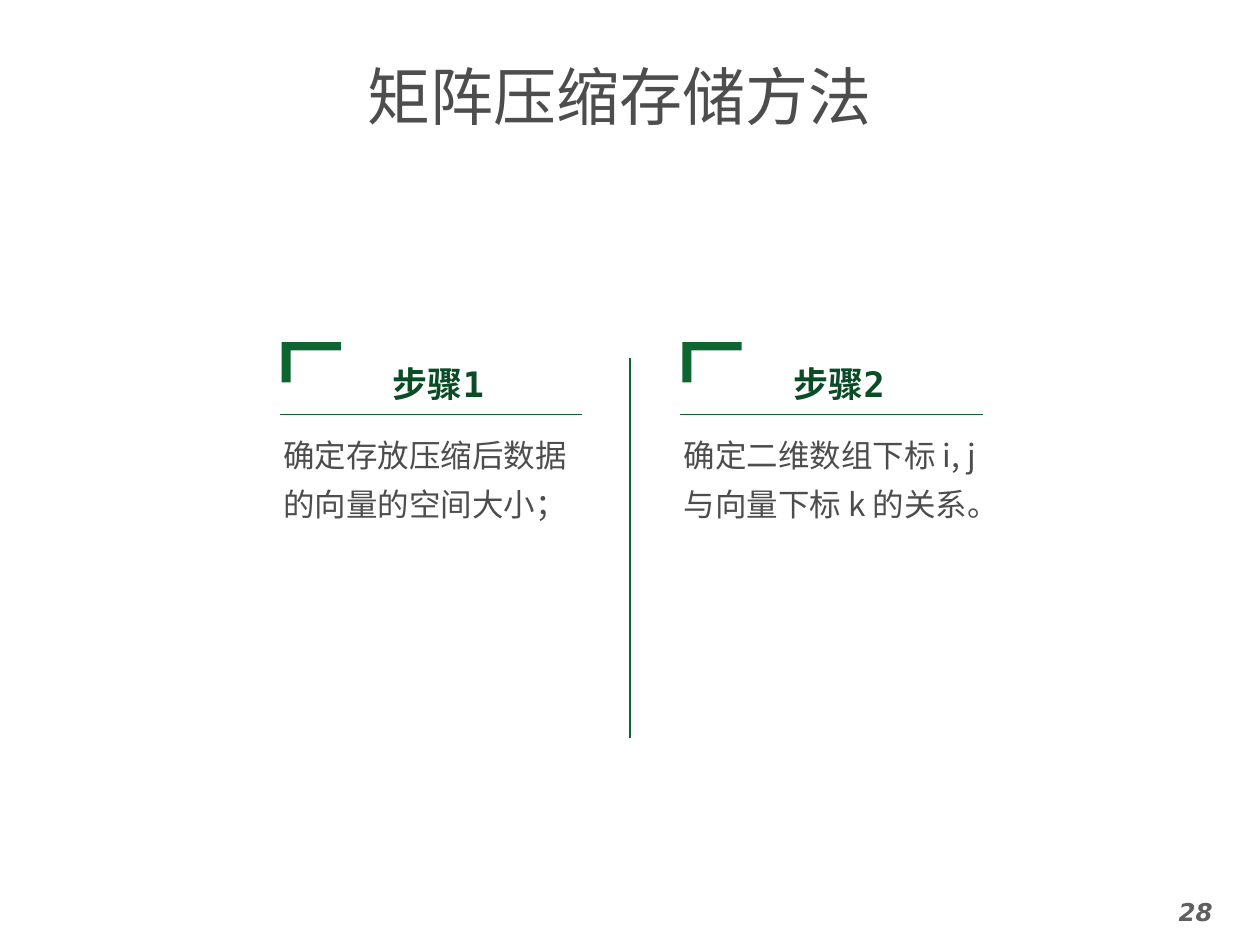
from dataclasses import dataclass

from lxml import etree
from pptx import Presentation
from pptx import util as u
from pptx.dml.color import RGBColor
from pptx.enum import shapes, text
from pptx.oxml.ns import qn


@dataclass(frozen=True)
class Theme:
    green: str = "0D6531"
    heading: str = "0A4C25"
    body: str = "4D4D4D"
    number: str = "5F5F5F"
    title_size: int = 36
    heading_size: int = 20
    body_size: int = 18
    number_size: int = 14
    rule_width: float = 0.75
    mono: str = "DejaVu Sans Mono"
    sans: str = "DejaVu Sans"
    cjk: str = "Noto Sans CJK SC"


THEME = Theme()
STEPS = [
    ("步骤1", "确定存放压缩后数据的向量的空间大小；"),
    ("步骤2", "确定二维数组下标 i, j 与向量下标 k 的关系。"),
]


def inches(box):
    return [u.Inches(length) for length in box]


def write(frame, wording, face, size, color, bold=False, italic=False,
          align=text.PP_ALIGN.CENTER):
    frame.word_wrap = True
    paragraph = frame.paragraphs[0]
    paragraph.alignment = align
    run = paragraph.add_run()
    run.text = wording
    font = run.font
    font.name, font.size = face, u.Pt(size)
    font.bold, font.italic = bold, italic
    font.color.rgb = RGBColor.from_string(color)
    east_asian = etree.SubElement(run._r.get_or_add_rPr(), qn("a:ea"))
    east_asian.set("typeface", THEME.cjk)
    return paragraph


def add_rule(slide, x1, y1, x2, y2):
    rule = slide.shapes.add_connector(
        shapes.MSO_CONNECTOR.STRAIGHT, *inches((x1, y1, x2, y2)))
    rule.line.color.rgb = RGBColor.from_string(THEME.green)
    rule.line.width = u.Pt(THEME.rule_width)
    etree.SubElement(rule._element.spPr, qn("a:effectLst"))


def add_title(slide, box, wording):
    title = slide.shapes.title
    title.left, title.top, title.width, title.height = inches(box)
    title.text_frame.vertical_anchor = text.MSO_ANCHOR.MIDDLE
    write(title.text_frame, wording, THEME.mono, THEME.title_size, THEME.body)


def add_step(slide, box, heading, description):
    left, top, width, height = box
    bracket = slide.shapes.add_shape(
        shapes.MSO_SHAPE.CORNER, *inches((left + 0.09, top, 0.32, 0.47)))
    bracket.rotation = 90
    bracket.adjustments[0], bracket.adjustments[1] = 0.226, 0.207
    bracket.shadow.inherit = False
    bracket.fill.solid()
    bracket.fill.fore_color.rgb = RGBColor.from_string(THEME.green)
    bracket.line.fill.background()

    rule_y = top + 0.65
    add_rule(slide, left, rule_y, left + width, rule_y)

    body_top = rule_y + 0.03
    body = slide.shapes.add_textbox(
        *inches((left - 0.07, body_top, width + 0.13, top + height - body_top)))
    paragraph = write(body.text_frame, description, THEME.cjk, THEME.body_size,
                      THEME.body, align=text.PP_ALIGN.LEFT)
    paragraph.line_spacing = 1.3

    label = slide.shapes.add_textbox(
        *inches((left + 0.13, top + 0.16, width - 0.14, 0.49)))
    frame = label.text_frame
    frame.margin_left = frame.margin_right = 0
    frame.margin_top = frame.margin_bottom = 0
    frame.vertical_anchor = text.MSO_ANCHOR.MIDDLE
    write(frame, heading, THEME.mono, THEME.heading_size, THEME.heading, bold=True)


def add_steps(slide, box):
    left, top, width, height = box
    step_width = 2.4
    pitch = (width - step_width) / (len(STEPS) - 1)
    for index, (heading, description) in enumerate(STEPS):
        add_step(slide, (left + index * pitch, top, step_width, height),
                 heading, description)
    divider_x = left + width / 2 - 0.01
    add_rule(slide, divider_x, top + 0.2, divider_x, top + 3.22)


def add_page_number(slide, box, number):
    page_number = slide.shapes.add_textbox(*inches(box))
    write(page_number.text_frame, number, THEME.sans, THEME.number_size,
          THEME.number, bold=True, italic=True)


def main():
    deck = Presentation()
    deck.slide_width, deck.slide_height = u.Inches(10), u.Inches(7.5)
    slide = deck.slides.add_slide(deck.slide_layouts[5])
    add_title(slide, (0.58, 0.41, 8.67, 0.7), "矩阵压缩存储方法")
    add_steps(slide, (2.22, 2.64, 5.58, 3.01))
    add_page_number(slide, (8.98, 7.07, 1.02, 0.43), "28")
    deck.save("out.pptx")


if __name__ == "__main__":
    main()
